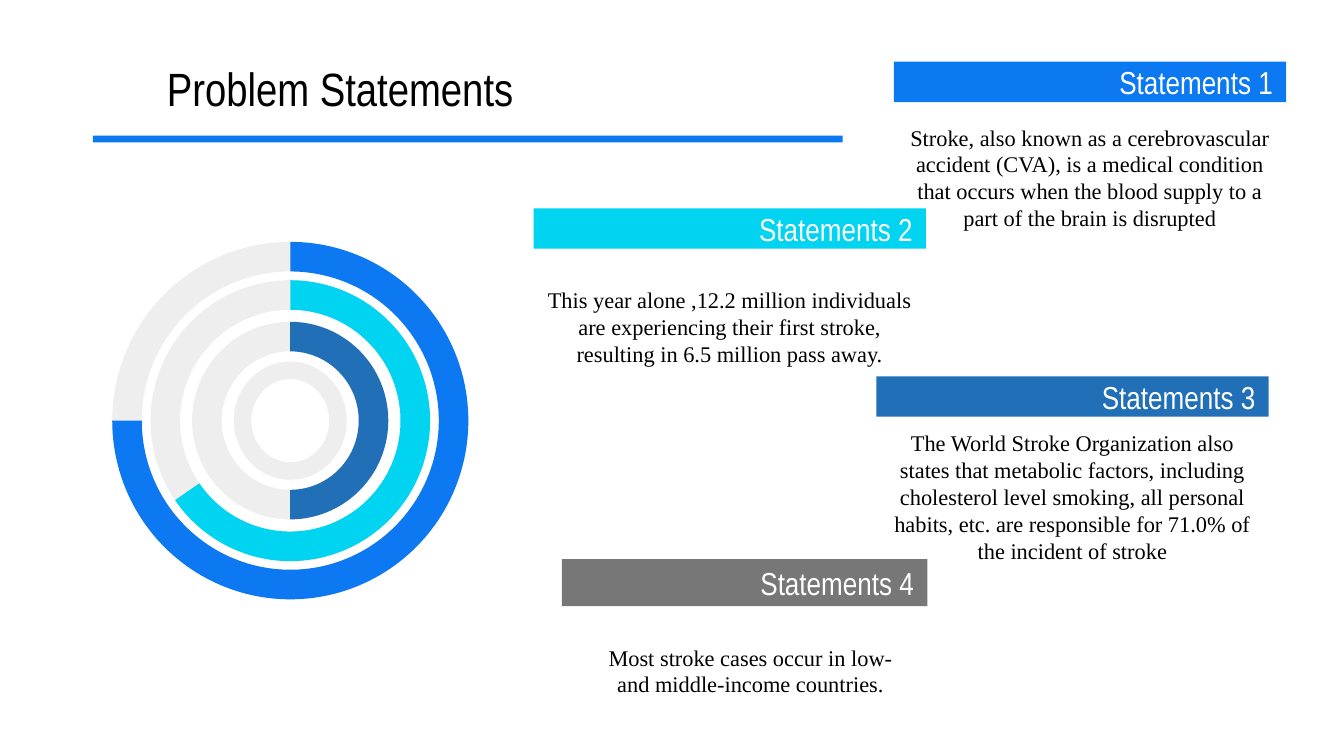
from pptx import Presentation
from pptx.dml.color import RGBColor
from pptx.enum.shapes import MSO_SHAPE
from pptx.enum.text import MSO_ANCHOR, PP_ALIGN
from pptx.util import Inches, Pt

THEME = {
    "blue": "0C79F3", "cyan": "00D4F0", "navy": "2170B7", "gray": "777777",
    "track": "EEEEEE", "black": "000000", "white": "FFFFFF",
    "heading_font": "Arial Narrow", "body_font": "Times New Roman",
    "title_size": 25, "label_size": 17, "body_size": 12,
}

# Content: boxes are (left, top, width, height) in inches
TITLE = ("Problem Statements", (0.84, 0.37, 3.38, 0.57))
RULE = (0.69, 1.01, 5.58, 0.05)
STATEMENTS = [
    ("Statements 1", "blue", (6.65, 0.46, 2.92, 0.3),
     "Stroke, also known as a cerebrovascular accident (CVA), is a medical condition "
     "that occurs when the blood supply to a part of the brain is disrupted",
     (6.65, 0.78, 2.92, 1.08)),
    ("Statements 2", "cyan", (3.97, 1.55, 2.92, 0.3),
     "This year alone ,12.2 million individuals are experiencing their first stroke, "
     "resulting in 6.5 million pass away.",
     (3.97, 2, 2.92, 0.86)),
    ("Statements 3", "navy", (6.52, 2.8, 2.92, 0.3),
     "The World Stroke Organization also states that metabolic factors, including "
     "cholesterol level smoking, all personal habits, etc. are responsible for 71.0% "
     "of the incident of stroke",
     (6.52, 3.12, 2.92, 1.15)),
    ("Statements 4", "gray", (4.18, 4.16, 2.72, 0.35),
     "Most stroke cases occur in low- and middle-income countries.",
     (4.38, 4.72, 2.41, 0.54)),
]
# Rings from outside in: width, height, thickness, filled degrees, colour
RING_CENTER = (2.16, 3.13)
RINGS = [
    (2.65, 2.66, 0.22, 270, "blue"),
    (2.08, 2.09, 0.22, 235.4, "cyan"),
    (1.46, 1.47, 0.22, 180, "navy"),
    (0.84, 0.88, 0.13, 0, None),
]


def color(name):
    return RGBColor.from_string(THEME[name])


def add_shape(slide, kind, box, fill):
    shape = slide.shapes.add_shape(kind, *map(Inches, box))
    shape.shadow.inherit = False
    shape.fill.solid()
    shape.fill.fore_color.rgb = color(fill)
    shape.line.fill.background()
    return shape


def write_text(shape, text, role, font, text_color, alignment):
    frame = shape.text_frame
    frame.word_wrap = True
    frame.vertical_anchor = MSO_ANCHOR.MIDDLE
    frame.margin_left = frame.margin_right = Inches(0.1)
    frame.margin_top = frame.margin_bottom = Inches(0.1)
    paragraph = frame.paragraphs[0]
    paragraph.text = text
    paragraph.alignment = alignment
    paragraph.font.name = THEME[font]
    paragraph.font.size = Pt(THEME[role])
    paragraph.font.color.rgb = color(text_color)


def add_text(slide, text, box, role, font):
    shape = slide.shapes.add_textbox(*map(Inches, box))
    write_text(shape, text, role, font, "black", PP_ALIGN.CENTER)


def add_ring(slide, width, height, thickness, degrees, fill):
    center_x, center_y = RING_CENTER
    box = (center_x - width / 2, center_y - height / 2, width, height)
    track = add_shape(slide, MSO_SHAPE.DONUT, box, "track")
    track.adjustments[0] = thickness / width
    if degrees:
        # The arc runs clockwise from twelve o'clock (270 degrees);
        # one degree is 60000 units and an adjustment counts 100000 units
        arc = add_shape(slide, MSO_SHAPE.BLOCK_ARC, box, fill)
        arc.adjustments[0] = 270 * 0.6
        arc.adjustments[1] = (270 + degrees) % 360 * 0.6
        arc.adjustments[2] = thickness / width


def main():
    # Widescreen slide, 16:9
    presentation = Presentation()
    presentation.slide_width = Inches(10)
    presentation.slide_height = Inches(10 * 9 / 16)
    slide = presentation.slides.add_slide(presentation.slide_layouts[6])

    # Title and rule
    add_text(slide, *TITLE, "title_size", "heading_font")
    add_shape(slide, MSO_SHAPE.RECTANGLE, RULE, "blue")

    # Statements
    for label, fill, label_box, body, body_box in STATEMENTS:
        add_text(slide, body, body_box, "body_size", "body_font")
        bar = add_shape(slide, MSO_SHAPE.RECTANGLE, label_box, fill)
        write_text(bar, label, "label_size", "heading_font", "white", PP_ALIGN.RIGHT)

    # Concentric progress rings
    for ring in RINGS:
        add_ring(slide, *ring)

    presentation.save("out.pptx")


if __name__ == "__main__":
    main()
